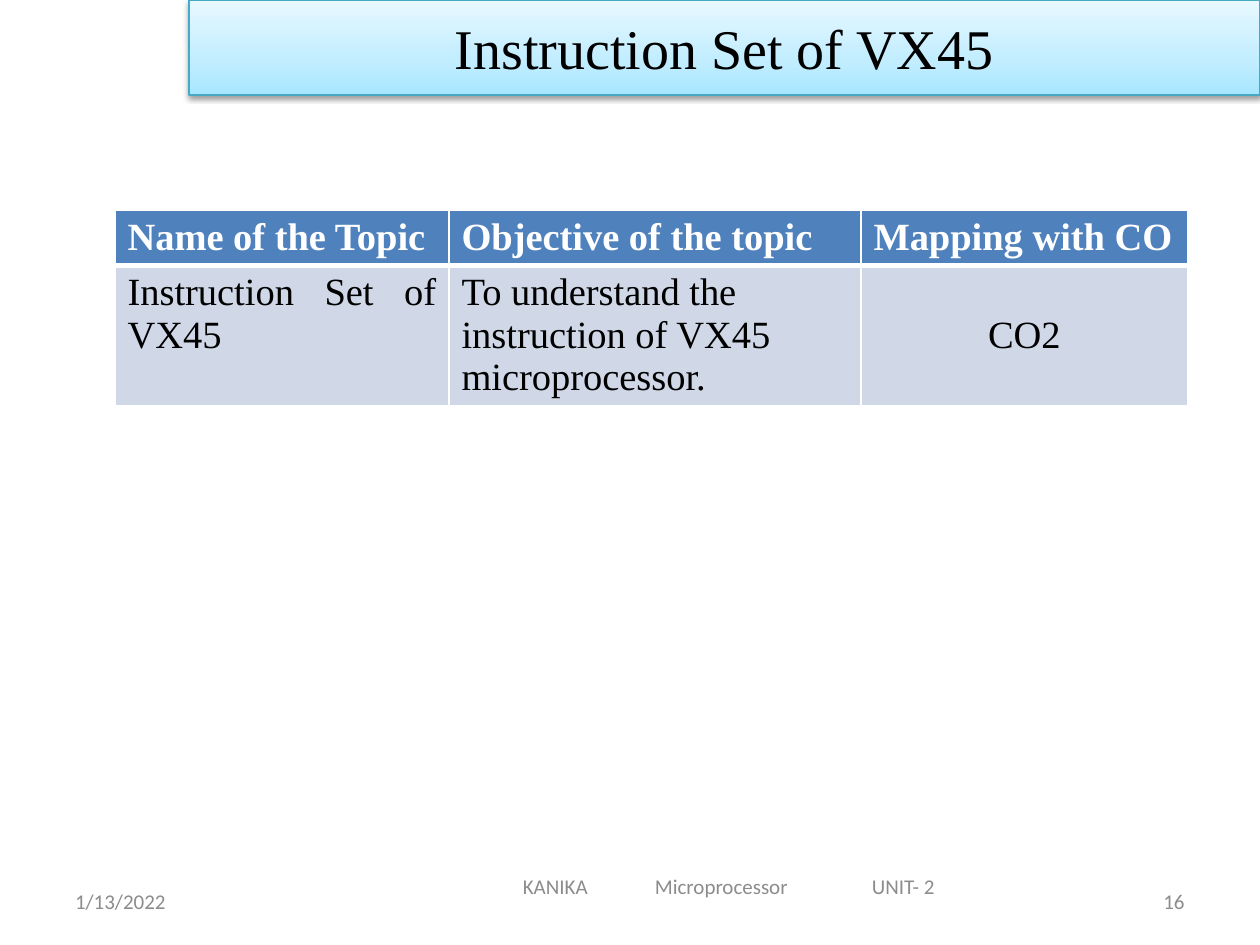
"""Build the VX45 instruction set slide with its topic, objective and outcome table."""
import copy

from pptx import Presentation, oxml, util as u
from pptx.dml.color import RGBColor
from pptx.enum import text
from pptx.oxml import ns

PX = u.Inches(1) // 126
THEME = {
    "serif": "Times New Roman", "sans": "Calibri",
    "title_size": 32, "table_size": 22, "footer_size": 12,
    "black": "000000", "white": "FFFFFF", "grey": "8C8C8C",
    "header": "4F81BD", "body": "D0D8E8", "outline": "46AAC5",
    "gradient": [(0, "A7E6FF"), (0.35, "C1EDFF"), (1, "E7F8FF")],
}
LEFT, CENTER, RIGHT, JUSTIFY = (
    text.PP_ALIGN.LEFT, text.PP_ALIGN.CENTER, text.PP_ALIGN.RIGHT, text.PP_ALIGN.JUSTIFY)


def write(frame, words, align, color, **font):
    frame.text = words
    frame.word_wrap = True
    paragraph = frame.paragraphs[0]
    paragraph.alignment = align
    run_font = paragraph.runs[0].font
    run_font.color.rgb = RGBColor.from_string(THEME[color])
    for key, value in font.items():
        setattr(run_font, key, value)
    return paragraph


def add_xml(parent, tag, attributes, content, index):
    xml = f"<a:{tag} {ns.nsdecls('a')} {attributes}>{content}</a:{tag}>"
    parent.insert(index, oxml.parse_xml(xml))


prs = Presentation()
prs.slide_width, prs.slide_height = 1260 * PX, 945 * PX
slide = prs.slides.add_slide(prs.slide_layouts[5])

title = slide.shapes.title
for side, length in {"left": 189, "top": 0, "width": 1071, "height": 95}.items():
    setattr(title, side, length * PX)
write(title.text_frame, "Instruction Set of VX45", CENTER, "black",
      name=THEME["serif"], size=u.Pt(THEME["title_size"]))
title.text_frame.auto_size = text.MSO_AUTO_SIZE.NONE
title.text_frame.vertical_anchor = text.MSO_ANCHOR.MIDDLE
title.fill.gradient()
title.fill.gradient_angle = 90
stop_list = title.element.spPr.find(ns.qn("a:gradFill")).find(ns.qn("a:gsLst"))
stop_list.append(copy.deepcopy(stop_list[-1]))
for stop, (position, color) in zip(title.fill.gradient_stops, THEME["gradient"]):
    stop.position = position
    stop.color.rgb = RGBColor.from_string(color)
title.line.color.rgb = RGBColor.from_string(THEME["outline"])
title.line.width = u.Pt(0.75)
add_xml(title.element.spPr, "effectLst", "",
        '<a:outerShdw blurRad="40000" dist="20000" dir="5400000" rotWithShape="0">'
        f'<a:srgbClr val="{THEME["black"]}"><a:alpha val="38000"/></a:srgbClr>'
        '</a:outerShdw>', len(title.element.spPr))

topics = [
    [("Name of the Topic", LEFT), ("Objective of the topic", LEFT), ("Mapping with CO", LEFT)],
    [("Instruction Set of VX45", JUSTIFY),
     ("To understand the instruction of VX45 microprocessor.", LEFT), ("CO2", CENTER)],
]
columns, rows = [334, 412, 327], [55, 140]
table = slide.shapes.add_table(2, 3, 115 * PX, 210 * PX, sum(columns) * PX, sum(rows) * PX).table
table.horz_banding = False
for column, width in zip(table.columns, columns):
    column.width = width * PX
for row, height, entries, fill, ink in zip(
        table.rows, rows, topics, ("header", "body"), ("white", "black")):
    row.height = height * PX
    is_header = fill == "header"
    borders = {"lnL": 1, "lnR": 1, "lnT": 1 if is_header else 3, "lnB": 3 if is_header else 1}
    for cell, (words, align) in zip(row.cells, entries):
        write(cell.text_frame, words, align, ink, name=THEME["serif"],
              size=u.Pt(THEME["table_size"]), bold=is_header)
        cell.vertical_anchor = text.MSO_ANCHOR.MIDDLE if align == CENTER else text.MSO_ANCHOR.TOP
        cell.fill.solid()
        cell.fill.fore_color.rgb = RGBColor.from_string(THEME[fill])
        for index, (edge, points) in enumerate(borders.items()):
            add_xml(cell._tc.tcPr, edge, f'w="{u.Pt(points)}"',
                    f'<a:solidFill><a:srgbClr val="{THEME["white"]}"/></a:solidFill>', index)

footers = [
    ("KANIKA\tMicroprocessor\tUNIT- 2", LEFT, 388, 861, 683, 135, [132, 349]),
    ("16", RIGHT, 903, 876, 294, 12, []),
    ("1/13/2022", LEFT, 63, 876, 294, 12, []),
]
for words, align, left, top, width, inset, tabs in footers:
    footer = slide.shapes.add_textbox(left * PX, top * PX, width * PX, 50 * PX).text_frame
    footer.vertical_anchor = text.MSO_ANCHOR.MIDDLE
    footer.margin_left = inset * PX
    line = write(footer, words, align, "grey", name=THEME["sans"], size=u.Pt(THEME["footer_size"]))
    if tabs:
        stops = "".join(f'<a:tab pos="{tab * PX}" algn="l"/>' for tab in tabs)
        add_xml(line._p.pPr, "tabLst", "", stops, 0)

prs.save("out.pptx")
